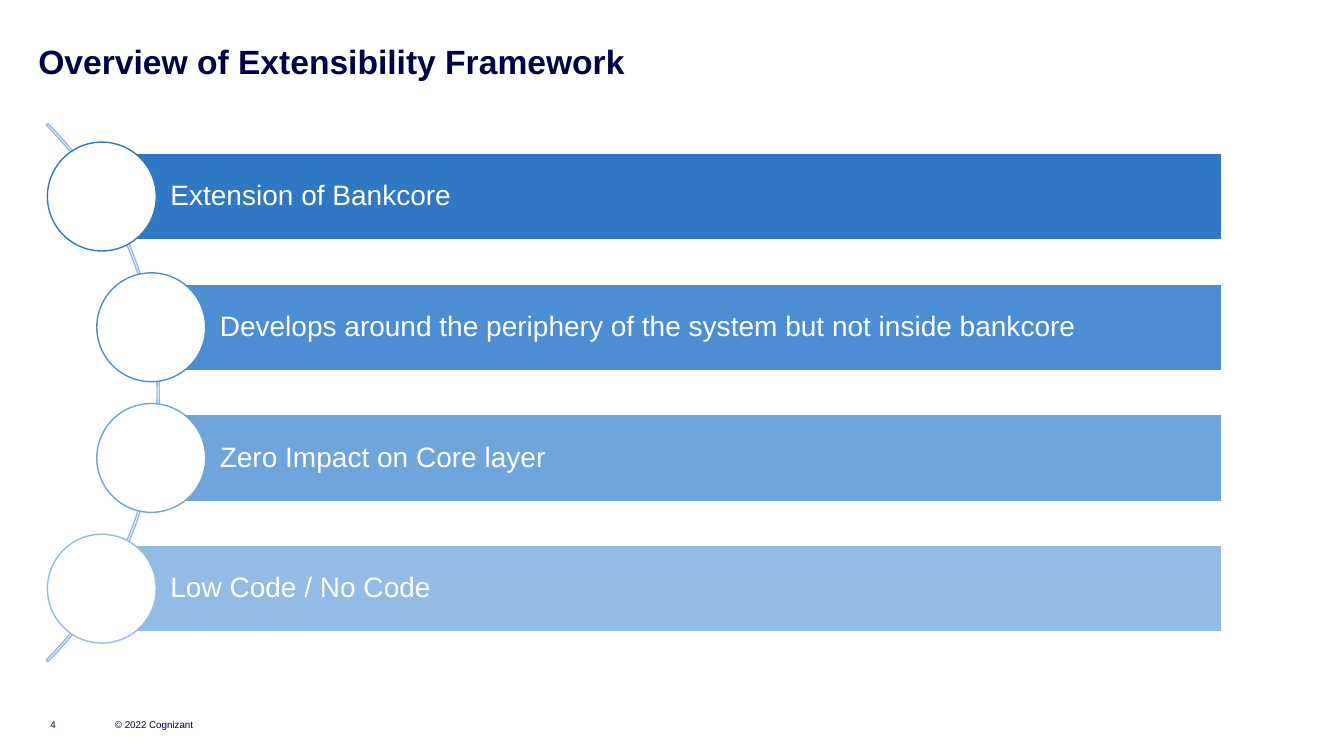
from pptx import Presentation
from pptx.dml.color import RGBColor
from pptx.enum.shapes import MSO_SHAPE
from pptx.enum.text import MSO_ANCHOR, MSO_AUTO_SIZE, PP_ALIGN
from pptx.util import Inches, Pt

NAVY, WHITE = "000048", "FFFFFF"
BLUES = ["2F78C4", "4B8ED4", "6EA5DD", "92BBE6"]
POINTS = [
    "Extension of Bankcore",
    "Develops around the periphery of the system but not inside bankcore",
    "Zero Impact on Core layer",
    "Low Code / No Code",
]
INNER, OUTER, RIGHT = 1.01, 1.5, 12.12
FIRST, LAST = 1.95, 5.84
BAR, DISC = 0.86, 1.08


def paint(hue):
    return RGBColor.from_string(hue)


class Page:
    font = "Arial"

    def __init__(self, deck):
        self.slide = deck.slides.add_slide(deck.slide_layouts[5])

    def letter(self, shape, text, size, hue, anchor, inset=(0, 0, 0, 0), wrap=True):
        """Fill a shape with one left-aligned paragraph and return it."""
        frame = shape.text_frame
        frame.text = text
        frame.auto_size = MSO_AUTO_SIZE.NONE
        frame.word_wrap = wrap
        frame.vertical_anchor = anchor
        (frame.margin_left, frame.margin_top,
         frame.margin_right, frame.margin_bottom) = map(Inches, inset)
        para = frame.paragraphs[0]
        para.alignment = PP_ALIGN.LEFT
        para.font.name, para.font.size = self.font, Pt(size)
        para.font.color.rgb = paint(hue)
        return para

    def title(self, text, left, top, width, height):
        shape = self.slide.shapes.title
        shape.left, shape.top = Inches(left), Inches(top)
        shape.width, shape.height = Inches(width), Inches(height)
        self.letter(shape, text, 24, NAVY, MSO_ANCHOR.TOP).font.bold = True

    def label(self, text, left, width):
        """Add a small footer text."""
        box = self.slide.shapes.add_textbox(
            Inches(left), Inches(6.85), Inches(width), Inches(0.4))
        self.letter(box, text, 7, NAVY, MSO_ANCHOR.BOTTOM, wrap=False)

    def shape(self, kind, left, top, width, height, line, fill=None):
        item = self.slide.shapes.add_shape(
            kind, Inches(left), Inches(top), Inches(width), Inches(height))
        item.shadow.inherit = False
        item.line.color.rgb = paint(line)
        item.line.width = Pt(1)
        if fill:
            item.fill.solid()
            item.fill.fore_color.rgb = paint(fill)
        else:
            item.fill.background()
        return item

    def arc(self, left, top, size, hue):
        """Add the thin curve from 315 to 45 degrees."""
        curve = self.shape(MSO_SHAPE.BLOCK_ARC, left, top, size, size, hue)
        for i, value in enumerate((189, 27, 0.003)):
            curve.adjustments[i] = value

    def point(self, text, left, mid, hue):
        """Add a bar with its text and the disc on its left end."""
        bar = self.shape(MSO_SHAPE.RECTANGLE, left, mid - BAR / 2,
                         RIGHT - left, BAR, WHITE, hue)
        para = self.letter(bar, text, 20, WHITE, MSO_ANCHOR.MIDDLE,
                           (0.68, 0.06, 0.06, 0.06))
        para.line_spacing = 0.9
        self.shape(MSO_SHAPE.OVAL, left - DISC / 2, mid - DISC / 2,
                   DISC, DISC, hue, WHITE)


def main():
    deck = Presentation()
    deck.slide_width, deck.slide_height = Inches(13.33), Inches(7.5)
    page = Page(deck)
    page.label("© 2022 Cognizant", 1.14, 1.31)
    page.label("4", 0.5, 0.39)
    page.title("Overview of Extensibility Framework", 0.38, 0.41, 11.82, 0.34)
    page.arc(-5.97, 0.12, 7.55, BLUES[-1])
    step = (LAST - FIRST) / (len(POINTS) - 1)
    for i, (text, hue) in enumerate(zip(POINTS, BLUES)):
        left = INNER if i in (0, len(POINTS) - 1) else OUTER
        page.point(text, left, FIRST + i * step, hue)
    deck.save("out.pptx")


if __name__ == "__main__":
    main()
